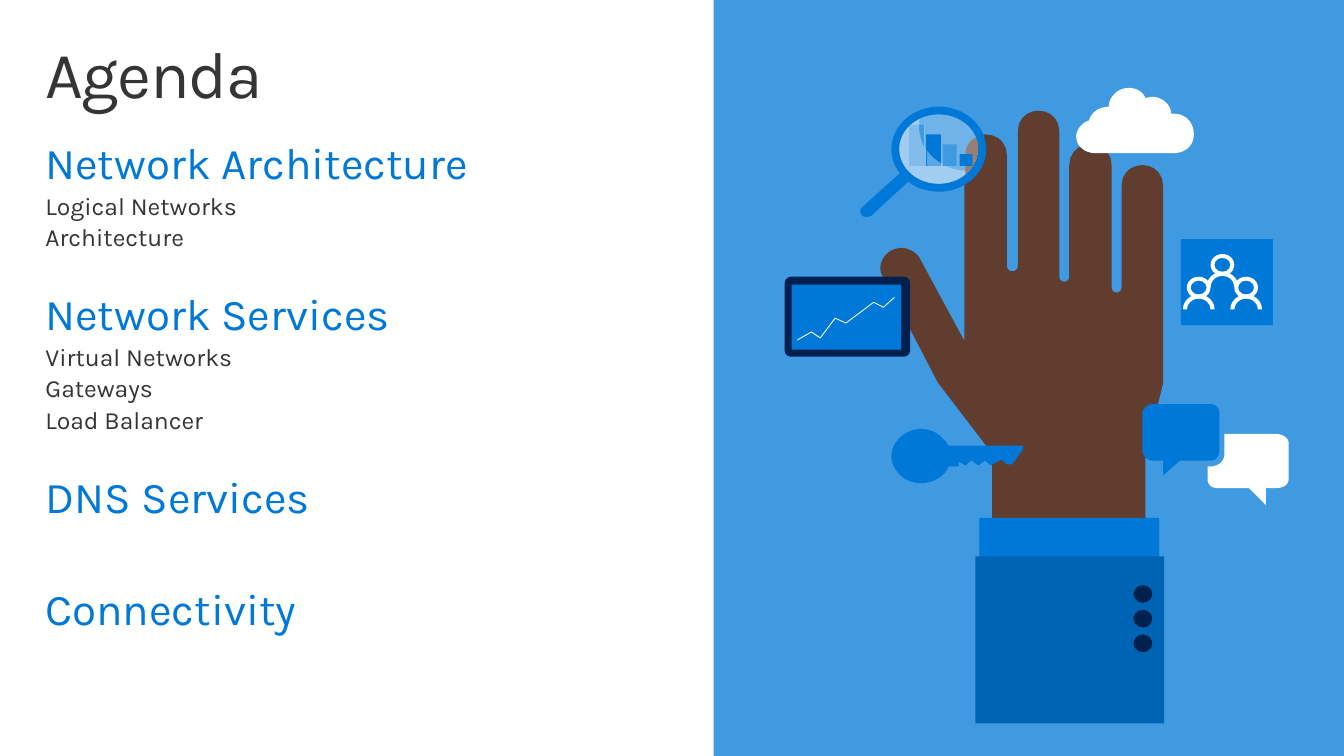
from lxml import etree
from pptx import Presentation
from pptx.dml.color import RGBColor
from pptx.enum.shapes import MSO_SHAPE
from pptx.enum.text import MSO_ANCHOR
from pptx.util import Inches, Pt

RECT, OVAL, DONUT = MSO_SHAPE.RECTANGLE, MSO_SHAPE.OVAL, MSO_SHAPE.DONUT
ROUNDED, ARC = MSO_SHAPE.ROUNDED_RECTANGLE, MSO_SHAPE.BLOCK_ARC
TOP = MSO_ANCHOR.TOP
FONT = "Karla"
COLORS = {
    "text": "353535", "blue": "0078D7", "panel": "409AE1", "sleeve": "0064B5",
    "navy": "002050", "white": "FFFFFF", "skin": "613D30", "lens": "70B3E9",
    "glare": "A0CDF0", "pale": "81BCEB", "soft": "57A6E5", "tinted skin": "977F76",
}
AGENDA = [
    ("Network Architecture", ["Logical Networks", "Architecture"]),
    ("Network Services", ["Virtual Networks", "Gateways", "Load Balancer"]),
    ("DNS Services", []),
    ("Connectivity", []),
]


def color(name):
    return RGBColor.from_string(COLORS[name])


def paint(shape, fill):
    shape.shadow.inherit = False
    shape.fill.solid()
    shape.fill.fore_color.rgb = color(fill)
    shape.line.fill.background()


def add_preset(page, kind, left, top, width, height, fill, **adjust):
    """Add a filled preset shape; adjust maps names like a0 to adjustment values."""
    shape = page.shapes.add_shape(
        kind, Inches(left), Inches(top), Inches(width), Inches(height))
    for name, value in adjust.items():
        shape.adjustments[int(name[1:])] = value
    paint(shape, fill)
    return shape


def flatten(contour, steps=10):
    """Turn points (x, y) and cubic curves (six numbers) into thousandths of an inch."""
    points = []
    for part in contour:
        if len(part) == 2:
            points.append(part)
            continue
        nodes = [points[-1], part[:2], part[2:4], part[4:]]
        for step in range(1, steps + 1):
            t = step / steps
            weights = ((1 - t) ** 3, 3 * t * (1 - t) ** 2, 3 * t * t * (1 - t), t ** 3)
            points.append(tuple(
                sum(weight * node[axis] for weight, node in zip(weights, nodes))
                for axis in (0, 1)))
    return [(x * 1000, y * 1000) for x, y in points]


def add_outline(page, left, top, contours, fill=None):
    """Draw contours from the given origin; without a fill they stay open lines."""
    builder = None
    for contour in contours:
        points = flatten(contour)
        if builder is None:
            builder = page.shapes.build_freeform(*points[0], scale=Inches(1) / 1000)
        else:
            builder.move_to(*points[0])
        builder.add_line_segments(points[1:], close=fill is not None)
    shape = builder.convert_to_shape(Inches(left), Inches(top))
    if fill:
        paint(shape, fill)
    else:
        shape.shadow.inherit = False
        shape.fill.background()
    return shape


def add_text_frame(page, left, top, width, height):
    box = page.shapes.add_textbox(Inches(left), Inches(top), Inches(width), Inches(height))
    frame = box.text_frame
    frame.word_wrap = True
    frame.vertical_anchor = TOP
    frame.margin_left = frame.margin_right = Inches(0.16)
    frame.margin_top = frame.margin_bottom = Inches(0.1)
    return frame


def write(para, text, size, fill, before=0):
    para.text = text
    para.line_spacing = 0.9
    para.space_before = Pt(before)
    span = para.runs[0]
    span.font.name = FONT
    span.font.size = Pt(size)
    span.font.color.rgb = color(fill)
    return span


def add_agenda(page, left, top):
    title = add_text_frame(page, left, top, 6.8, 1)
    span = write(title.paragraphs[0], "Agenda", 48, "text")
    span.font._element.set("spc", "-100")
    body = add_text_frame(page, left, top + 1.01, 6.8, 5.99)
    before = 0
    for index, (heading, items) in enumerate(AGENDA):
        para = body.add_paragraph() if index else body.paragraphs[0]
        write(para, heading, 32, "blue", before)
        for item in items:
            write(body.add_paragraph(), item, 18, "text", 3.6)
        before = 29.4 if items else 47.6


def semicircle(left, right, edge, up):
    """Curve from left to right whose ends lie at height edge."""
    handle = (right - left) * 2 / 3 * (-1 if up else 1)
    return (left, edge + handle, right, edge + handle, right, edge)


def add_hand(page, left, top):
    fingers = [(0.88, 1.31, 0.24), (1.42, 1.84, 0), (1.94, 2.37, 0.34), (2.47, 2.89, 0.55)]
    contour = [(0.88, 2.33)]
    for index, (start, end, tip) in enumerate(fingers):
        edge = tip + (end - start) / 2
        contour += [(start, edge), semicircle(start, end, edge, True)]
        if index < 3:
            gap_edge = 1.57 + 0.11 * index
            contour += [(end, gap_edge),
                        semicircle(end, fingers[index + 1][0], gap_edge, False)]
    contour += [(2.89, 2.76), (2.71, 3.49), (2.71, 4.12), (1.16, 4.12), (1.16, 3.47),
                (0.61, 2.75), (0.06, 1.69), (0, 1.61, 0.03, 1.48, 0.13, 1.42),
                (0.23, 1.36, 0.35, 1.39, 0.42, 1.48)]
    add_outline(page, left, top, [contour], "skin")


def add_sleeve(page, left, top):
    add_preset(page, RECT, left + 0.04, top, 1.82, 0.58, "blue")
    add_preset(page, RECT, left, top + 0.39, 1.91, 1.69, "sleeve")
    for row in range(3):
        add_preset(page, OVAL, left + 1.6, top + 0.68 + 0.25 * row, 0.19, 0.18, "navy")


def add_key(page, left, top):
    bow_and_blade = [
        (0, 0.28), (0, 0.37, 0.06, 0.45, 0.13, 0.5), (0.18, 0.53, 0.24, 0.55, 0.3, 0.55),
        (0.42, 0.55, 0.54, 0.48, 0.58, 0.38), (0.68, 0.38), (0.68, 0.33), (0.75, 0.37),
        (0.81, 0.32), (0.88, 0.37), (0.95, 0.32), (1, 0.37), (1.12, 0.31), (1.17, 0.36),
        (1.22, 0.36), (1.33, 0.21), (1.33, 0.17), (0.58, 0.17),
        (0.5, 0.05, 0.41, 0, 0.3, 0), (0.14, 0, 0, 0.13, 0, 0.28)]
    hole = [(0.26, 0.28), semicircle(0.26, 0.1, 0.28, False), semicircle(0.1, 0.26, 0.28, True)]
    add_outline(page, left, top, [bow_and_blade, hole], "blue")


def add_team(page, left, top):
    add_preset(page, RECT, left, top, 0.93, 0.87, "blue")
    for x, y in ((0.3, 0.15), (0.06, 0.38), (0.54, 0.38)):
        add_preset(page, DONUT, left + x, top + y, 0.24, 0.22, "white", a0=0.18)
        add_preset(page, ARC, left + x - 0.04, top + y + 0.18, 0.32, 0.3, "white", a2=0.14)


def add_cloud(page, left, top):
    add_outline(page, left, top, [[
        (0.13, 0.33), (0.15, 0.25, 0.23, 0.19, 0.33, 0.19), (0.33, 0.09, 0.42, 0, 0.53, 0),
        (0.6, 0, 0.67, 0.03, 0.7, 0.1), (0.73, 0.1, 0.74, 0.09, 0.77, 0.09),
        (0.87, 0.09, 0.96, 0.17, 0.96, 0.26), (0.98, 0.26),
        (1.11, 0.26, 1.19, 0.35, 1.19, 0.47), (1.19, 0.58, 1.11, 0.66, 0.98, 0.66),
        (0.19, 0.66), (0.09, 0.66, 0, 0.59, 0, 0.49), (0, 0.42, 0.06, 0.35, 0.13, 0.33)]],
        "white")


def add_chat(page, left, top):
    add_outline(page, left, top, [[
        (0.69, 0), (0.1, 0), (0.05, 0, 0, 0.04, 0, 0.1), (0, 0.47),
        (0, 0.52, 0.05, 0.57, 0.1, 0.57), (0.21, 0.57), (0.21, 0.72), (0.38, 0.57),
        (0.69, 0.57), (0.75, 0.57, 0.78, 0.52, 0.78, 0.47), (0.78, 0.1),
        (0.78, 0.04, 0.75, 0, 0.69, 0)]], "blue")
    add_outline(page, left + 0.66, top + 0.3, [[
        (0.69, 0), (0.17, 0), (0.17, 0.21), (0.17, 0.28, 0.1, 0.33, 0.03, 0.33), (0, 0.33),
        (0, 0.46), (0, 0.52, 0.05, 0.55, 0.1, 0.55), (0.42, 0.55), (0.59, 0.72),
        (0.59, 0.55), (0.69, 0.55), (0.75, 0.55, 0.82, 0.52, 0.82, 0.46), (0.82, 0.09),
        (0.82, 0.04, 0.75, 0, 0.69, 0)]], "white")


def add_tablet(page, left, top):
    add_preset(page, ROUNDED, left, top, 1.27, 0.81, "navy", a0=0.08)
    add_preset(page, RECT, left + 0.07, top + 0.08, 1.11, 0.66, "blue")
    trend = add_outline(page, left + 0.13, top + 0.21, [[
        (0, 0.43), (0.14, 0.35), (0.23, 0.41), (0.38, 0.21), (0.49, 0.26), (0.77, 0.05),
        (0.87, 0.1), (0.98, 0)]])
    trend.line.color.rgb = color("white")
    trend.line.width = Pt(0.63)


def add_magnifier(page, left, top):
    handle = [(0.12, 1.1), (0.51, 0.74), (0.42, 0.66), (0.02, 1.02),
              (0, 1.04, 0, 1.08, 0.02, 1.1), (0.04, 1.12, 0.09, 1.12, 0.12, 1.1)]
    glare = [(1.1, 0.65), (0.82, 0.65, 0.6, 0.45, 0.6, 0.21), (0.6, 0.17, 0.6, 0.14, 0.61, 0.11),
             (0.49, 0.17, 0.4, 0.29, 0.4, 0.42), (0.4, 0.62, 0.58, 0.78, 0.8, 0.78),
             (0.92, 0.78, 1.03, 0.73, 1.11, 0.65)]
    first_bar_edge = [(0.65, 0.18), (0.6, 0.18), (0.6, 0.27, 0.62, 0.35, 0.65, 0.4)]
    second_bar_foot = [(0.68, 0.44), (0.68, 0.6), (0.82, 0.6), (0.82, 0.57),
                       (0.77, 0.54, 0.71, 0.49, 0.68, 0.44)]
    fingertip = [(1.07, 0.69), (1.07, 0.48), (1.07, 0.41, 1.11, 0.34, 1.18, 0.31),
                 (1.19, 0.34, 1.2, 0.38, 1.2, 0.42), (1.2, 0.52, 1.14, 0.63, 1.07, 0.69)]
    add_outline(page, left, top, [handle], "blue")
    add_preset(page, OVAL, left + 0.4, top + 0.07, 0.8, 0.71, "lens")
    add_outline(page, left, top, [glare], "glare")
    add_outline(page, left, top, [fingertip], "tinted skin")
    for index, fill in enumerate(("pale", "blue", "panel", "blue")):
        bar_top = 0.18 + 0.1 * index
        add_preset(page, RECT, left + 0.5 + 0.17 * index, top + bar_top,
                   0.16 - 0.01 * index, 0.6 - bar_top, fill)
    add_outline(page, left, top, [first_bar_edge], "panel")
    add_outline(page, left, top, [second_bar_foot], "soft")
    add_preset(page, DONUT, left + 0.32, top, 0.96, 0.86, "blue", a0=0.09)


def add_illustration(page, left, top):
    add_preset(page, RECT, left, top, 6.38, 7.65, "panel")
    for draw, x, y in (
            (add_hand, 1.66, 1.12), (add_key, 1.8, 4.34), (add_team, 4.73, 2.42),
            (add_cloud, 3.67, 0.89), (add_chat, 4.34, 4.09), (add_tablet, 0.72, 2.8),
            (add_sleeve, 2.65, 5.24), (add_magnifier, 1.48, 1.08)):
        draw(page, left + x, top + y)


def main():
    deck = Presentation()
    deck.slide_width, deck.slide_height = Inches(13.6), Inches(7.65)
    page = deck.slides.add_slide(deck.slide_layouts[6])
    add_agenda(page, 0.3, 0.32)
    add_illustration(page, 7.22, 0)
    deck.save("out.pptx")


if __name__ == "__main__":
    main()
